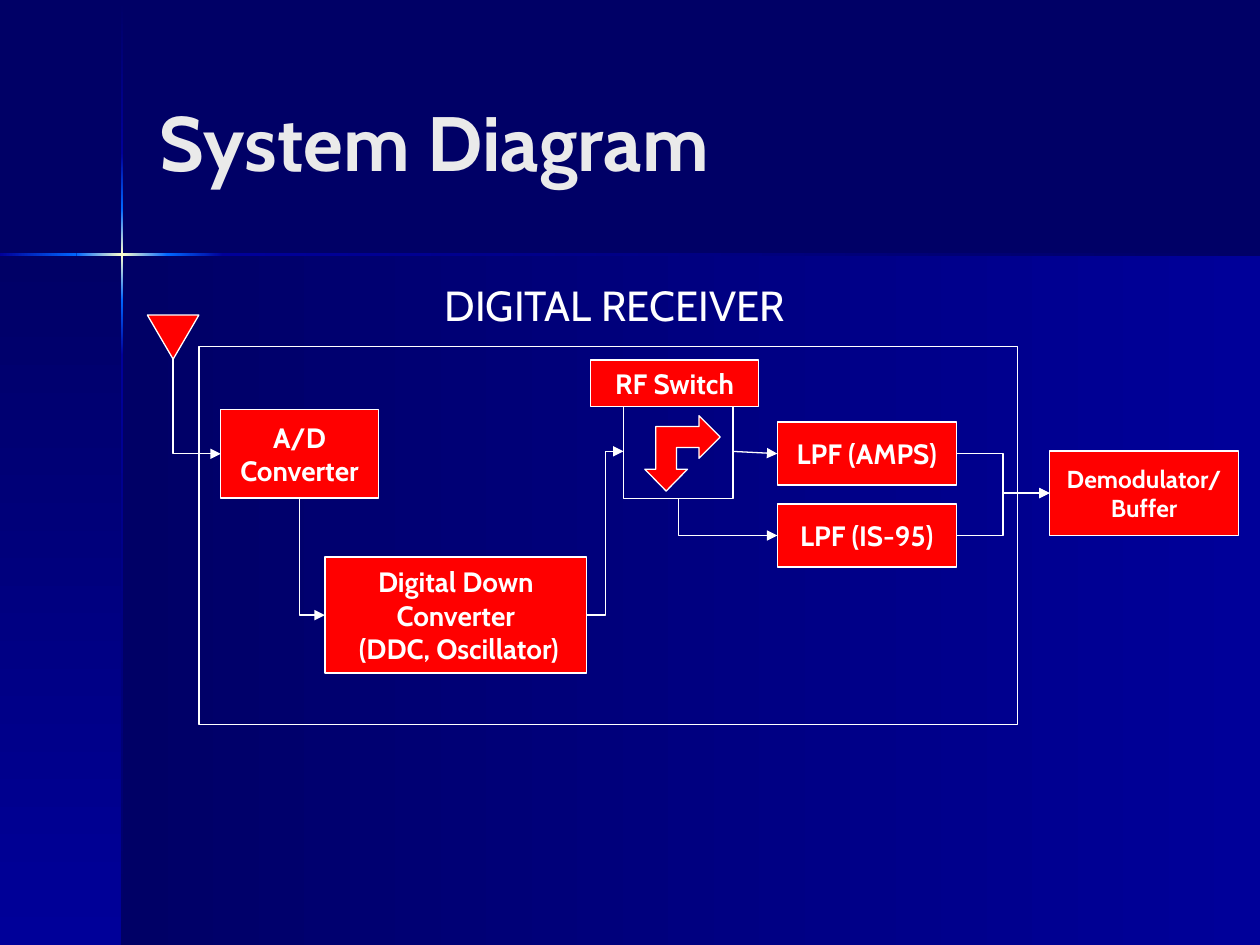
from itertools import pairwise

from lxml.etree import SubElement
from pptx import Presentation
from pptx.dml.color import RGBColor
from pptx.enum.shapes import MSO_CONNECTOR, MSO_SHAPE
from pptx.enum.text import MSO_ANCHOR, PP_ALIGN
from pptx.oxml.ns import qn
from pptx.util import Cm, Pt

COLORS = {
    "navy": "000066",
    "blue": "000099",
    "glow": "0066FF",
    "spark": "FFFFCC",
    "title": "EAEAEA",
    "white": "FFFFFF",
    "red": "FF0000",
}
WIDTH, HEIGHT = 25.4, 19.05
CROSS_X, CROSS_Y = 2.46, 5.13
BEAM = 0.05
TOP, LEFT, BOTTOM, RIGHT = range(4)  # connection sites of a rectangle


def color(name):
    return RGBColor.from_string(COLORS[name])


def write(shape, lines, size, name="white", bold=True, align=PP_ALIGN.CENTER, wrap=True):
    frame = shape.text_frame
    frame.word_wrap = wrap
    frame.vertical_anchor = MSO_ANCHOR.MIDDLE
    frame.text = "\n".join(lines)
    font_format = {"name": "Cabin", "size": Pt(size), "bold": bold}
    for para in frame.paragraphs:
        para.alignment = align
        for key, value in font_format.items():
            setattr(para.font, key, value)
        para.font.color.rgb = color(name)


def style(shape, fill="red"):
    """Give a diagram shape its fill, if any, and a thin white outline."""
    shape.shadow.inherit = False
    if fill:
        shape.fill.solid()
        shape.fill.fore_color.rgb = color(fill)
    else:
        shape.fill.background()
    shape.line.color.rgb = color("white")
    shape.line.width = Pt(0.75)


def gradient_bar(page, box, names, vertical):
    """Fill a box with a blend that runs downwards or to the right."""
    bar = page.shapes.add_shape(MSO_SHAPE.RECTANGLE, *map(Cm, box))
    bar.shadow.inherit = False
    bar.line.fill.background()
    bar.fill.gradient()
    bar.fill.gradient_angle = 270 if vertical else 0
    for stop, name in zip(bar.fill.gradient_stops, names):
        stop.color.rgb = color(name)


def backdrop(page, width, height):
    """Two shaded panels and a cross of light where they meet."""
    page.background.fill.solid()
    page.background.fill.fore_color.rgb = color("navy")
    panel_height = height - CROSS_Y
    shades = ("navy", "blue")
    gradient_bar(page, (CROSS_X, CROSS_Y, width - CROSS_X, panel_height), shades, False)
    gradient_bar(page, (0, CROSS_Y, CROSS_X, panel_height), shades, True)

    glow = [(-1.88 - 0.16, "blue"), (-0.92, "glow"), (0, "spark"),
            (0.92, "glow"), (2.04, "blue")]
    down = [(0, "navy")] + [(CROSS_Y + offset, name) for offset, name in glow] + [(height, "navy")]
    across = [(0, "blue")] + [(CROSS_X + offset, name) for offset, name in glow[1:]] + [(width, "navy")]
    for (start, first), (end, last) in pairwise(down):
        box = (CROSS_X - BEAM / 2, start, BEAM, end - start)
        gradient_bar(page, box, (first, last), True)
    for (start, first), (end, last) in pairwise(across):
        box = (start, CROSS_Y - BEAM / 2, end - start, BEAM)
        gradient_bar(page, box, (first, last), False)


def heading(page, left, top, width, height):
    title = page.shapes.title
    places = {"left": left, "top": top, "width": width, "height": height}
    for key, value in places.items():
        setattr(title, key, Cm(value))
    write(title, ["System Diagram"], 44, "title", align=PP_ALIGN.LEFT)


def turn_down_then_right(connector, source, target):
    """Route from the bottom middle of source to the left middle of target."""
    start_x, start_y = source.left + source.width // 2, source.top + source.height
    end_x, end_y = target.left, target.top + target.height // 2
    across, down = end_x - start_x, end_y - start_y
    connector.left = (start_x + end_x - down) // 2
    connector.top = (start_y + end_y - across) // 2
    connector.width, connector.height = down, across
    transform = connector._element.spPr.find(qn("a:xfrm"))
    for key, value in {"rot": "16200000", "flipH": "1", "flipV": "0"}.items():
        transform.set(key, value)
    connector._element.spPr.find(qn("a:prstGeom")).set("prst", "bentConnector2")


def signal(page, source, site, target, kind=MSO_CONNECTOR.ELBOW, corner=False):
    """Lead an arrow from a site of source into the left side of target."""
    connector = page.shapes.add_connector(kind, 0, 0, 0, 0)
    connector.begin_connect(source, site)
    connector.end_connect(target, LEFT)
    if corner:
        turn_down_then_right(connector, source, target)
    connector.line.color.rgb = color("white")
    connector.line.width = Pt(0.75)
    properties = connector._element.spPr
    SubElement(properties.find(qn("a:ln")), qn("a:tailEnd"), type="triangle")
    SubElement(properties, qn("a:effectLst"))


def receiver(page, left, top):
    """Block diagram whose parts are placed from its top left corner."""

    def block(x, y, width, height, lines=(), size=16, fill="red", kind=MSO_SHAPE.RECTANGLE):
        shape = page.shapes.add_shape(kind, Cm(left + x), Cm(top + y), Cm(width), Cm(height))
        style(shape, fill)
        if lines:
            write(shape, lines, size, wrap=False)
        return shape

    def turning_arrow(x, y):
        outline = [(1.52, 0.43), (1.09, 0.86), (1.09, 0.64), (0.64, 0.64), (0.64, 1.08),
                   (0.86, 1.08), (0.43, 1.52), (0, 1.08), (0.22, 1.08), (0.22, 0.22),
                   (1.09, 0.22), (1.09, 0)]
        points = [(Cm(left + x + dx), Cm(top + y + dy)) for dx, dy in outline]
        builder = page.shapes.build_freeform(*points[0])
        builder.add_line_segments(points[1:])
        style(builder.convert_to_shape())

    block(1.04, 1.48, 16.51, 7.62, fill=None)
    label = page.shapes.add_textbox(Cm(left + 1.27), Cm(top), Cm(16.31), Cm(1.27))
    write(label, ["DIGITAL RECEIVER"], 24, bold=False)

    antenna = block(0, 0.84, 1.04, 0.89, kind=MSO_SHAPE.ISOSCELES_TRIANGLE)
    antenna.rotation = 180
    converter = block(1.48, 2.75, 3.18, 1.78, ["A/D", "Converter"])
    down_converter = block(3.58, 5.72, 5.28, 2.34,
                           ["Digital Down", "Converter", " (DDC, Oscillator)"])
    turning_arrow(10.03, 2.87)
    switch = block(9.6, 2.64, 2.21, 1.9, fill=None)
    block(8.94, 1.75, 3.38, 0.94, ["RF Switch"])
    amps, is95 = [block(12.7, 3 + row * 1.65, 3.61, 1.27, [f"LPF ({standard})"])
                  for row, standard in enumerate(("AMPS", "IS-95"))]
    demodulator = block(18.19, 3.58, 3.81, 1.7, ["Demodulator/", "Buffer"], 14)

    signal(page, antenna, TOP, converter, corner=True)
    signal(page, converter, BOTTOM, down_converter, corner=True)
    signal(page, down_converter, RIGHT, switch)
    signal(page, switch, RIGHT, amps, MSO_CONNECTOR.STRAIGHT)
    signal(page, switch, BOTTOM, is95, corner=True)
    for low_pass_filter in (amps, is95):
        signal(page, low_pass_filter, RIGHT, demodulator)


def main():
    deck = Presentation()
    deck.slide_width, deck.slide_height = Cm(WIDTH), Cm(HEIGHT)
    page = deck.slides.add_slide(deck.slide_layouts.get_by_name("Title Only"))
    backdrop(page, WIDTH, HEIGHT)
    heading(page, 2.97, 0.84, 20.96, 3.99)
    receiver(page, 2.97, 5.51)
    deck.save("out.pptx")


if __name__ == "__main__":
    main()
